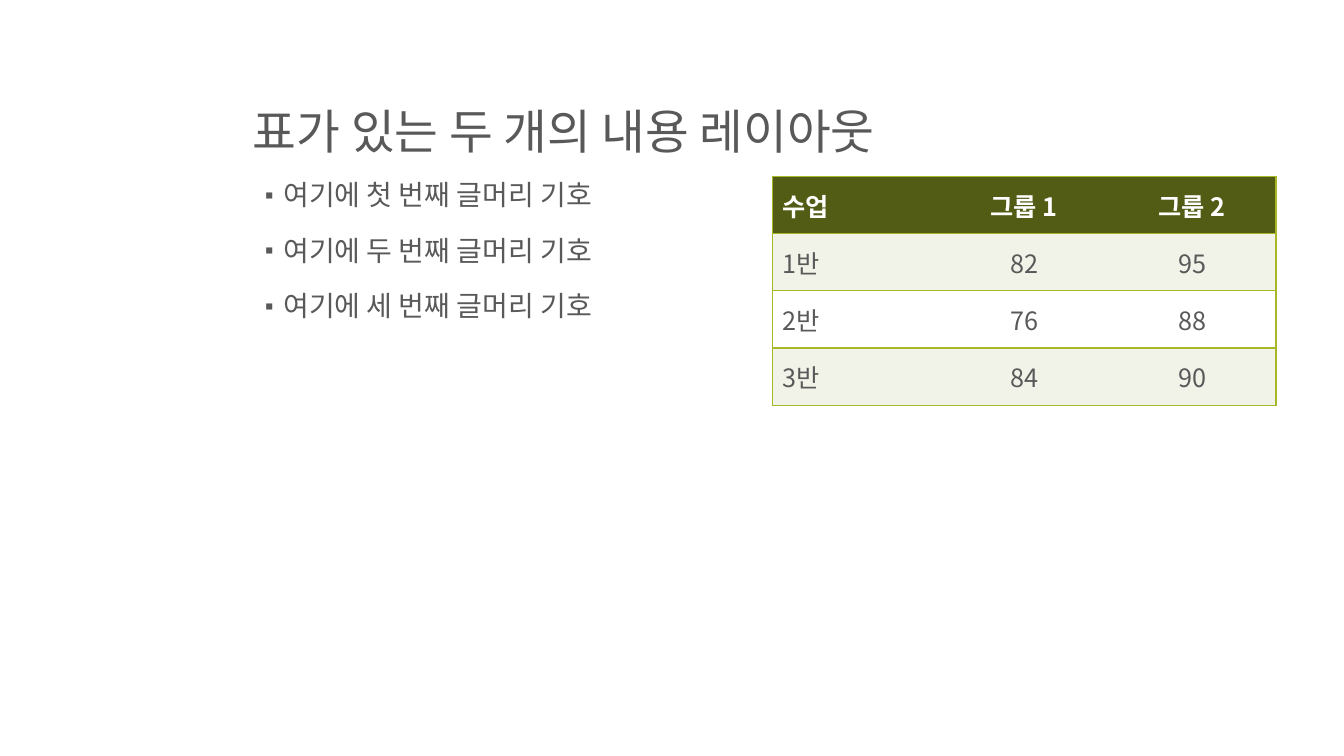
"""Build a slide with a title, a bullet list and a table of class scores."""
import pptx
import pptx.dml.color
import pptx.enum.text
import pptx.oxml.ns
import pptx.util
from lxml import etree

Pt = pptx.util.Pt
ALIGN = pptx.enum.text.PP_ALIGN
ANCHOR = pptx.enum.text.MSO_ANCHOR
FONT = "Noto Sans CJK KR"
COLORS = {
    "text": "595959",
    "white": "FFFFFF",
    "header": "535C14",
    "band": "F1F3E8",
    "border": "A6B727",
}


def add_element(parent, tag, **attributes):
    element = etree.SubElement(parent, pptx.oxml.ns.qn(tag))
    for name, value in attributes.items():
        element.set(name, value)
    return element


def format_text(paragraph, size, color, bold=False):
    for span in paragraph.runs:
        span.font.size = Pt(size)
        span.font.bold = bold
        span.font.name = FONT
        span.font.color.rgb = pptx.dml.color.RGBColor.from_string(COLORS[color])
        add_element(span.font._element, "a:ea", typeface=FONT)


deck = pptx.Presentation()
deck.slide_width = Pt(960)
deck.slide_height = Pt(540)
page = deck.slides.add_slide(deck.slide_layouts[1])

title = page.shapes.title
title.left, title.top, title.width, title.height = Pt(173.5), Pt(23.75), Pt(738), Pt(94.3)
title.text_frame.text = "표가 있는 두 개의 내용 레이아웃"
title.text_frame.auto_size = pptx.enum.text.MSO_AUTO_SIZE.NONE
title.text_frame.vertical_anchor = ANCHOR.BOTTOM
heading = title.text_frame.paragraphs[0]
heading.alignment = ALIGN.LEFT
heading.line_spacing = 0.9
format_text(heading, 34, "text")

body = page.placeholders[1]
body.left, body.top, body.width, body.height = Pt(173.5), Pt(126), Pt(360), Pt(324)
body.text_frame.text = "\n".join(f"여기에 {order} 번째 글머리 기호" for order in ("첫", "두", "세"))
body.text_frame.auto_size = pptx.enum.text.MSO_AUTO_SIZE.NONE
for para in body.text_frame.paragraphs:
    para.line_spacing = 0.9
    para.space_before = Pt(18)
    format_text(para, 20, "text")
    properties = para._p.get_or_add_pPr()
    properties.set("marL", str(Pt(21.6)))
    properties.set("indent", str(Pt(-18)))
    add_element(properties, "a:buSzPct", val="80000")
    add_element(properties, "a:buFont", typeface=FONT)
    add_element(properties, "a:buChar", char="▪")

scores = [
    ("수업", "그룹 1", "그룹 2"),
    ("1반", "82", "95"),
    ("2반", "76", "88"),
    ("3반", "84", "90"),
]
last_column = len(scores[0]) - 1
table = page.shapes.add_table(
    len(scores), len(scores[0]), Pt(551.5), Pt(126), Pt(360), Pt(163.6)
).table
for row_index, values in enumerate(scores):
    is_header = row_index == 0
    fill_color = "header" if is_header else "band" if row_index % 2 else "white"
    for column_index, value in enumerate(values):
        cell = table.cell(row_index, column_index)
        cell.text_frame.text = value
        cell.vertical_anchor = ANCHOR.MIDDLE
        para = cell.text_frame.paragraphs[0]
        para.alignment = ALIGN.CENTER if column_index else ALIGN.LEFT
        format_text(para, 18, "white" if is_header else "text", is_header)

        visible_sides = {
            "L": column_index == 0,
            "R": column_index == last_column,
            "T": True,
            "B": True,
        }
        for side, visible in visible_sides.items():
            line = add_element(cell._tc.get_or_add_tcPr(), f"a:ln{side}", w=str(Pt(1)))
            if visible:
                line_fill = add_element(line, "a:solidFill")
                add_element(line_fill, "a:srgbClr", val=COLORS["border"])
            else:
                add_element(line, "a:noFill")
        cell.fill.solid()
        cell.fill.fore_color.rgb = pptx.dml.color.RGBColor.from_string(COLORS[fill_color])

deck.save("out.pptx")
